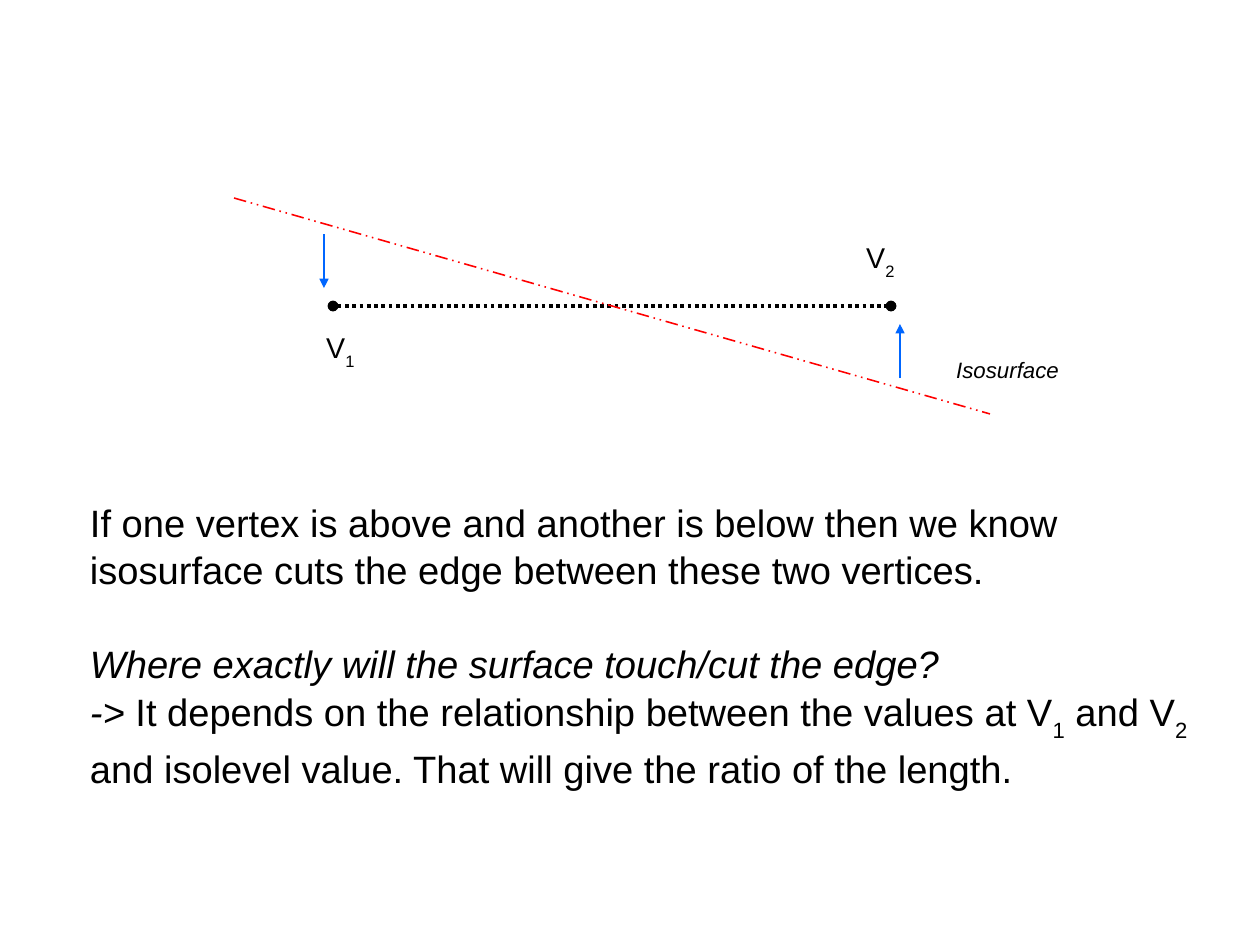
from pptx import Presentation
from pptx import util as u
from pptx.dml.color import RGBColor
from pptx.enum import dml, shapes, text
from pptx.oxml.ns import qn
from lxml import etree

COLORS = {"text": "000000", "edge": "000000", "surface": "FF0000", "arrow": "0066FF"}


def add_run(p, content, size=24, italic=False, sub=False):
    """Add one formatted run to a paragraph."""
    r = p.add_run()
    r.text = content
    r.font.name = "Arial"
    r.font.size = u.Pt(size)
    r.font.italic = italic
    r.font.color.rgb = RGBColor.from_string(COLORS["text"])
    if sub:
        r._r.get_or_add_rPr().set("baseline", "-33000")


def add_box(s, x, y, w, h, wrap=False, anchor=text.MSO_ANCHOR.TOP):
    """Add an empty text box and return its text frame."""
    tf = s.shapes.add_textbox(u.Cm(x), u.Cm(y), u.Cm(w), u.Cm(h)).text_frame
    tf.word_wrap = wrap
    tf.vertical_anchor = anchor
    return tf


def add_line(s, start, end, color, width, dash=None, head=None, tail=None):
    """Draw a straight line with optional dash and line ends."""
    c = s.shapes.add_connector(shapes.MSO_CONNECTOR.STRAIGHT, *map(u.Cm, start + end))
    c.line.color.rgb = RGBColor.from_string(COLORS[color])
    c.line.width = u.Pt(width)
    if dash:
        c.line.dash_style = dash
    ln = c.line._get_or_add_ln()
    for tag, kind in (("a:headEnd", head), ("a:tailEnd", tail)):
        if kind:
            etree.SubElement(ln, qn(tag)).set("type", kind)
    etree.SubElement(c._element.spPr, qn("a:effectLst"))


def draw_diagram(s, x, y):
    """Draw the edge, the isosurface, its arrows and labels."""
    add_line(s, (x + 2.2, y + 2.4), (x + 14.6, y + 2.4), "edge", 2.3,
             dml.MSO_LINE.ROUND_DOT, "oval", "oval")
    add_line(s, (x, y), (x + 16.8, y + 4.8), "surface", 1, dml.MSO_LINE.DASH_DOT_DOT)
    for dx, y1, y2 in ((2, 0.8, 2), (14.8, 4, 2.8)):
        add_line(s, (x + dx, y + y1), (x + dx, y + y2), "arrow", 0.75, tail="triangle")
    for index, dx, dy in (("1", 1.8, 2.8), ("2", 13.8, 0.8)):
        p = add_box(s, x + dx, y + dy, 1.2, 1.12).paragraphs[0]
        add_run(p, "V", size=18)
        add_run(p, index, size=18, sub=True)
    p = add_box(s, x + 15.8, y + 3.4, 2.8, 0.92).paragraphs[0]
    add_run(p, "Isosurface", size=14, italic=True)


def write_explanation(s, x, y, w, h):
    """Write the three paragraphs below the diagram."""
    tf = add_box(s, x, y, w, h, wrap=True, anchor=text.MSO_ANCHOR.MIDDLE)
    tf.margin_left = tf.margin_right = tf.margin_top = tf.margin_bottom = 0
    paragraphs = (
        [("If one vertex is above and another is below then we know isosurface "
          "cuts the edge between these two vertices.", {})],
        [("Where exactly will the surface touch/cut the edge?", {"italic": True})],
        [("-> ", {"italic": True}),
         ("It depends on the relationship between the values at V", {}),
         ("1", {"sub": True}), (" and V", {}), ("2", {"sub": True}),
         (" and isolevel value. That will give the ratio of the length.", {})],
    )
    for i, runs in enumerate(paragraphs):
        p = tf.paragraphs[0] if i == 0 else tf.add_paragraph()
        p.line_spacing = 1.04
        p.space_before = u.Pt(29 if i == 1 else 0)
        for content, style in runs:
            add_run(p, content, **style)


def main():
    """Build and save the slide."""
    prs = Presentation()
    prs.slide_width, prs.slide_height = u.Cm(28), u.Cm(21)
    s = prs.slides.add_slide(prs.slide_layouts[6])
    write_explanation(s, 2, 8.23, 24.6, 12.17)
    draw_diagram(s, 5.2, 4.4)
    prs.save("out.pptx")


if __name__ == "__main__":
    main()
